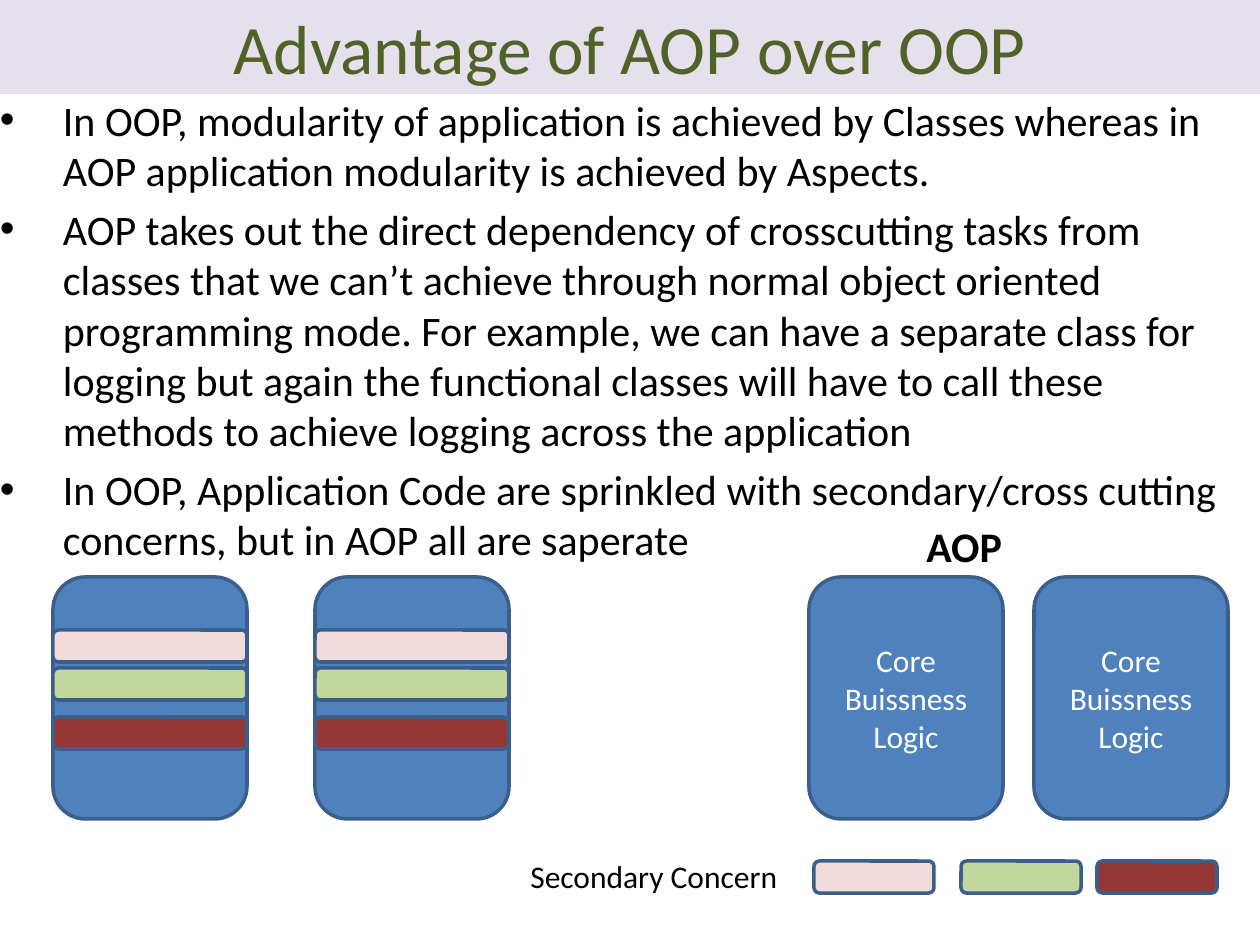
from lxml import etree
from pptx import Presentation, util as u
from pptx.dml.color import RGBColor
from pptx.enum import shapes, text
from pptx.oxml import ns

SCALE = 914400 / 126
WIDTH, HEIGHT = 1260, 945

BLACK = RGBColor(0x00, 0x00, 0x00)
WHITE = RGBColor(0xFF, 0xFF, 0xFF)
OLIVE = RGBColor(0x4F, 0x62, 0x28)
LILAC = RGBColor(0xE6, 0xE0, 0xEC)
BLUE = RGBColor(0x4F, 0x81, 0xBD)
EDGE = RGBColor(0x3A, 0x5F, 0x8C)
PINK = RGBColor(0xF2, 0xDC, 0xDB)
GREEN = RGBColor(0xC3, 0xD6, 0x9B)
RED = RGBColor(0x95, 0x37, 0x35)

TITLE = "Advantage of AOP over OOP"
POINTS = [
    "In OOP, modularity of application is achieved by Classes whereas in AOP "
    "application modularity is achieved by Aspects.",
    "AOP takes out the direct dependency of crosscutting tasks from classes "
    "that we can’t achieve through normal object oriented programming mode. "
    "For example, we can have a separate class for logging but again the "
    "functional classes will have to call these methods to achieve logging "
    "across the application",
    "In OOP, Application Code are sprinkled with secondary/cross cutting "
    "concerns, but in AOP all are saperate",
]
CORE = "Core Buissness Logic"

MODULE_TOP, MODULE_WIDTH, MODULE_HEIGHT = 577, 194, 242
OOP_LEFTS = (53, 315)
AOP_LEFTS = (809, 1034)
BAR_HEIGHT = 32
LEGEND_TOP, LEGEND_WIDTH = 861, 120
# colour, top inside a module, left in the legend
CONCERNS = [(PINK, 630, 814), (GREEN, 668, 961), (RED, 717, 1097)]


def px(value):
    """Turn picture pixels into EMU."""
    return u.Emu(round(value * SCALE))


def set_all(target, values):
    """Set every attribute named in a dict."""
    for name, value in values.items():
        setattr(target, name, value)


def write(box, lines, size, color, frame=None, para_format=None, bold=False):
    """Write one paragraph per line and return the paragraphs."""
    set_all(box.text_frame, {"word_wrap": True, **(frame or {})})
    box.text_frame.text = "\n".join(lines)
    for para in box.text_frame.paragraphs:
        set_all(para, para_format or {})
        for span in para.runs:
            set_all(span.font, {"size": u.Pt(size), "name": "Calibri", "bold": bold})
            span.font.color.rgb = color
    return box.text_frame.paragraphs


def add_block(page, kind, place, fill, edge=None):
    """Add a flat preset shape."""
    box = page.shapes.add_shape(kind, *map(px, place))
    box.shadow.inherit = False
    box.fill.solid()
    box.fill.fore_color.rgb = fill
    if edge is None:
        box.line.fill.background()
    else:
        box.line.color.rgb = edge
        box.line.width = u.Pt(2)
    return box


def add_round(page, place, fill):
    """Add an outlined rounded rectangle."""
    return add_block(page, shapes.MSO_SHAPE.ROUNDED_RECTANGLE, place, fill, EDGE)


def add_text(page, place, *args, **options):
    """Add a text box and return its paragraphs."""
    return write(page.shapes.add_textbox(*map(px, place)), *args, **options)


def add_bullet(para):
    """Give a paragraph a hanging bullet."""
    props = para._p.get_or_add_pPr()
    props.set("marL", str(px(63)))
    props.set("indent", str(px(-63)))
    etree.SubElement(props, ns.qn("a:buFont")).set("typeface", "Arial")
    etree.SubElement(props, ns.qn("a:buChar")).set("char", "•")


def main():
    """Build and save the slide."""
    deck = Presentation()
    set_all(deck, {"slide_width": px(WIDTH), "slide_height": px(HEIGHT)})
    page = deck.slides.add_slide(deck.slide_layouts[6])
    centred = {
        "frame": {"vertical_anchor": text.MSO_ANCHOR.MIDDLE},
        "para_format": {"alignment": text.PP_ALIGN.CENTER},
    }

    banner = add_block(page, shapes.MSO_SHAPE.RECTANGLE, (0, 0, WIDTH, 94), LILAC)
    write(banner, [TITLE], 39.6, OLIVE, **centred)

    sides = ("left", "top", "right", "bottom")
    no_margins = {f"margin_{side}": 0 for side in sides}
    for para in add_text(page, (0, 94, WIDTH, 851), POINTS, 24, BLACK, no_margins,
                         {"space_before": u.Pt(4.8)}):
        add_bullet(para)

    for left in OOP_LEFTS + AOP_LEFTS:
        module = add_round(page, (left, MODULE_TOP, MODULE_WIDTH, MODULE_HEIGHT), BLUE)
        if left in AOP_LEFTS:
            write(module, [CORE], 18, WHITE, **centred)
            continue
        for color, top, _ in CONCERNS:
            add_round(page, (left, top, MODULE_WIDTH, BAR_HEIGHT), color)

    for color, _, left in CONCERNS:
        add_round(page, (left, LEGEND_TOP, LEGEND_WIDTH, BAR_HEIGHT), color)
    add_text(page, (518, 851, 301, 50), ["Secondary Concern"], 18, BLACK)
    add_text(page, (914, 514, 102, 63), ["AOP"], 24, BLACK,
             {"word_wrap": False}, bold=True)

    deck.save("out.pptx")


main()
